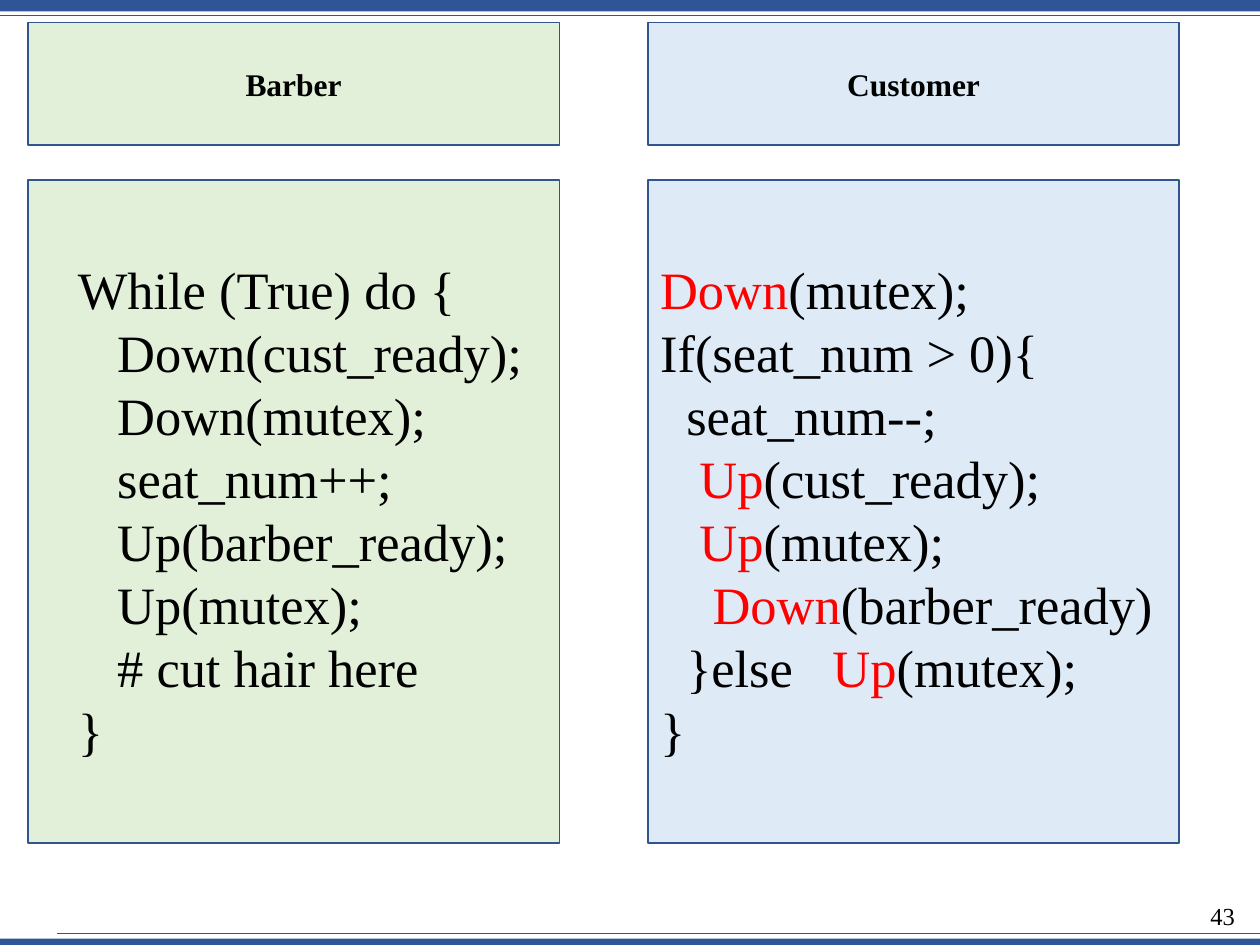
from typing import NamedTuple

from lxml.etree import SubElement
from pptx import Presentation
from pptx.dml.color import RGBColor
from pptx.enum.shapes import MSO_CONNECTOR, MSO_SHAPE
from pptx.enum.text import MSO_ANCHOR, PP_ALIGN
from pptx.oxml.ns import qn
from pptx.util import Inches, Pt

BAR_BLUE = RGBColor(0x2F, 0x55, 0x97)
BORDER_BLUE = RGBColor(0x32, 0x54, 0x91)
GREEN = RGBColor(0xE2, 0xF0, 0xD9)
PALE_BLUE = RGBColor(0xDE, 0xEB, 0xF7)
BLACK = RGBColor(0, 0, 0)
RED = RGBColor(0xFF, 0, 0)

PANEL_WIDTH = 4.22
CODE_FORMAT = {"size": Pt(30)}
TITLE_FORMAT = {"size": Pt(18), "bold": True}
NUMBER_FORMAT = {"size": Pt(14)}


class CodeLine(NamedTuple):
    text: str
    keyword: str = ""  # shown in red


class Process(NamedTuple):
    title: str
    left: float
    fill: RGBColor
    code_left: float
    code_width: float
    code: list[CodeLine]


PROCESSES = [
    Process("Barber", 0.22, GREEN, 0.52, 3.93, [
        CodeLine("While (True) do {"),
        CodeLine("   Down(cust_ready);"),
        CodeLine("   Down(mutex);"),
        CodeLine("   seat_num++;"),
        CodeLine("   Up(barber_ready);"),
        CodeLine("   Up(mutex);"),
        CodeLine("   # cut hair here"),
        CodeLine("}"),
    ]),
    Process("Customer", 5.14, PALE_BLUE, 5.14, PANEL_WIDTH, [
        CodeLine("Down(mutex);", "Down"),
        CodeLine("If(seat_num > 0){"),
        CodeLine("  seat_num--;"),
        CodeLine("   Up(cust_ready);", "Up"),
        CodeLine("   Up(mutex);", "Up"),
        CodeLine("    Down(barber_ready)", "Down"),
        CodeLine("  }else   Up(mutex);", "Up"),
        CodeLine("}"),
    ]),
]


def add_span(para, text: str, values: dict, color: RGBColor = BLACK) -> None:
    span = para.add_run()
    span.text = text
    span.font.color.rgb = color
    for name, value in {"name": "Times New Roman", **values}.items():
        setattr(span.font, name, value)


def add_rectangle(page, left: float, top: float, width: float, height: float,
                  fill: RGBColor, border: RGBColor | None = None):
    box = page.shapes.add_shape(MSO_SHAPE.RECTANGLE, Inches(left), Inches(top),
                                Inches(width), Inches(height))
    box.shadow.inherit = False
    box.fill.solid()
    box.fill.fore_color.rgb = fill
    if border is None:
        box.line.fill.background()
    else:
        box.line.color.rgb = border
        box.line.width = Pt(1)
    return box


def add_text_box(page, left: float, top: float, width: float, height: float):
    box = page.shapes.add_textbox(Inches(left), Inches(top), Inches(width), Inches(height))
    box.text_frame.word_wrap = True
    return box.text_frame


def add_rule(page, left: float, top: float) -> None:
    rule = page.shapes.add_connector(MSO_CONNECTOR.STRAIGHT, Inches(left), Inches(top),
                                     Inches(10), Inches(top))
    rule.line.color.rgb = BAR_BLUE
    rule.line.width = Pt(0.5)
    SubElement(rule._element.spPr, qn("a:effectLst"))


def add_code(page, process: Process) -> None:
    frame = add_text_box(page, process.code_left, 1.99, process.code_width, 4.14)
    for index, line in enumerate(process.code):
        para = frame.add_paragraph() if index else frame.paragraphs[0]
        para.line_spacing = Pt(36)
        if not line.keyword:
            add_span(para, line.text, CODE_FORMAT)
            continue
        before, keyword, after = line.text.partition(line.keyword)
        for text, color in ((before, BLACK), (keyword, RED), (after, BLACK)):
            if text:
                add_span(para, text, CODE_FORMAT, color)


def add_title(page, process: Process) -> None:
    box = add_rectangle(page, process.left, 0.18, PANEL_WIDTH, 0.97, process.fill, BORDER_BLUE)
    box.text_frame.vertical_anchor = MSO_ANCHOR.MIDDLE
    para = box.text_frame.paragraphs[0]
    para.alignment = PP_ALIGN.CENTER
    add_span(para, process.title, TITLE_FORMAT)


def main() -> None:
    deck = Presentation()
    deck.slide_width, deck.slide_height = Inches(10), Inches(7.5)
    page = deck.slides.add_slide(deck.slide_layouts[6])

    # Bars and rules at the page edges
    add_rectangle(page, 0, 7.45, 10, 0.05, BAR_BLUE)
    add_rectangle(page, 0, 0, 10, 0.09, BAR_BLUE)
    add_rule(page, 0, 0.12)
    add_rule(page, 0.45, 7.41)

    # Page number
    para = add_text_box(page, 9.36, 7.1, 0.54, 0.4).paragraphs[0]
    para.alignment = PP_ALIGN.RIGHT
    add_span(para, "43", NUMBER_FORMAT)

    # One column per process
    for process in PROCESSES:
        add_rectangle(page, process.left, 1.43, PANEL_WIDTH, 5.26, process.fill, BORDER_BLUE)
        add_code(page, process)
        add_title(page, process)

    deck.save("out.pptx")


if __name__ == "__main__":
    main()
